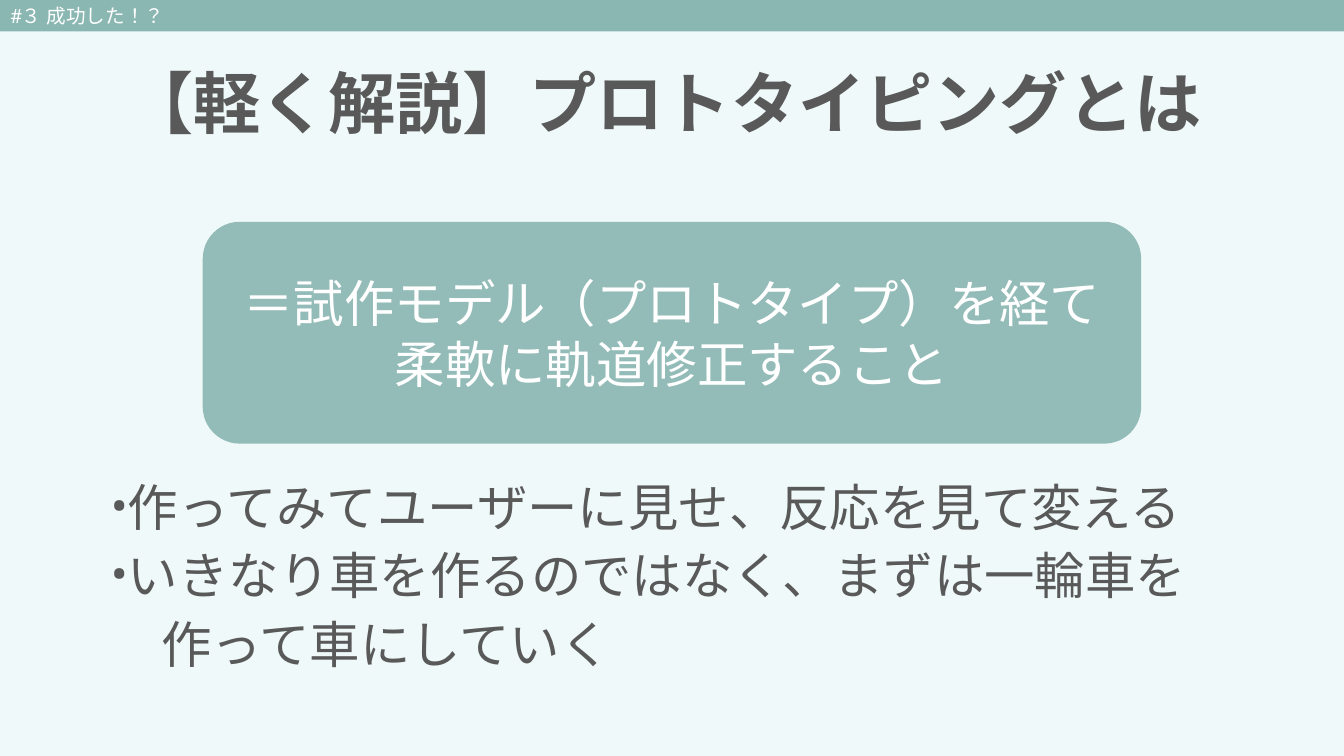
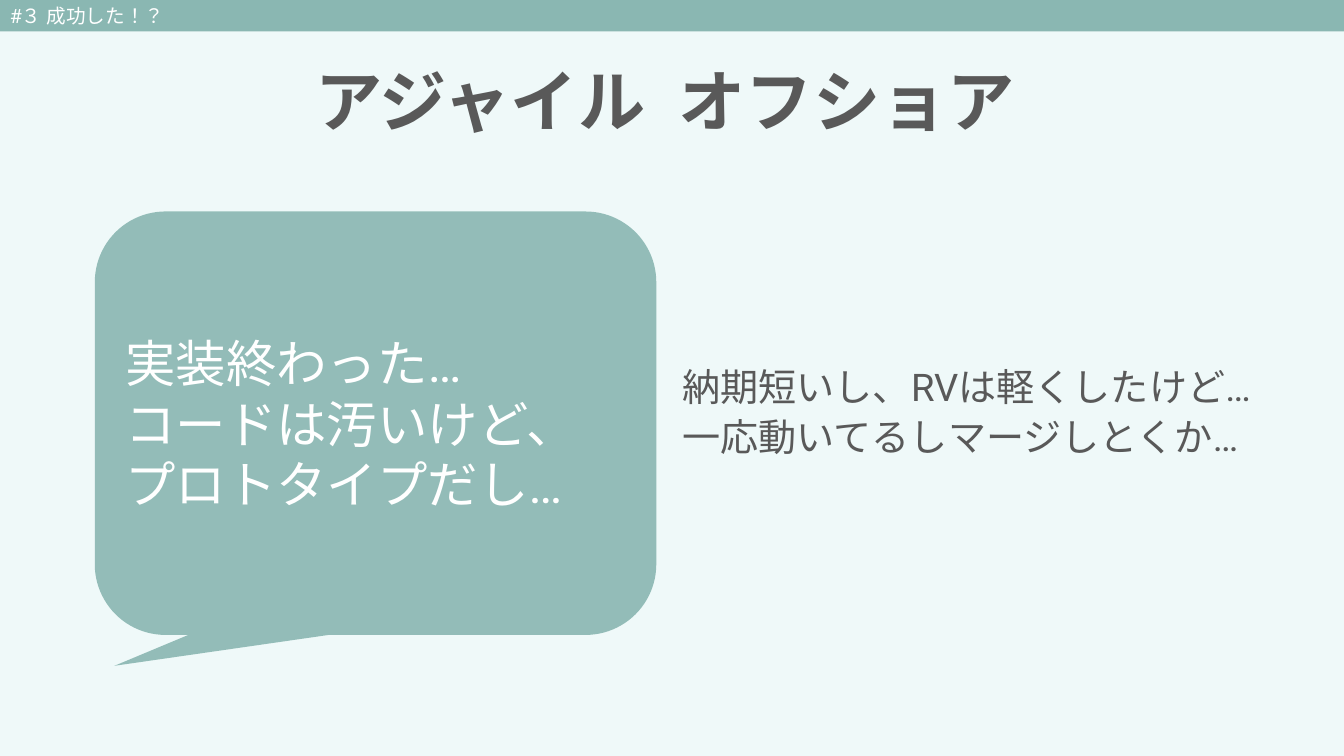
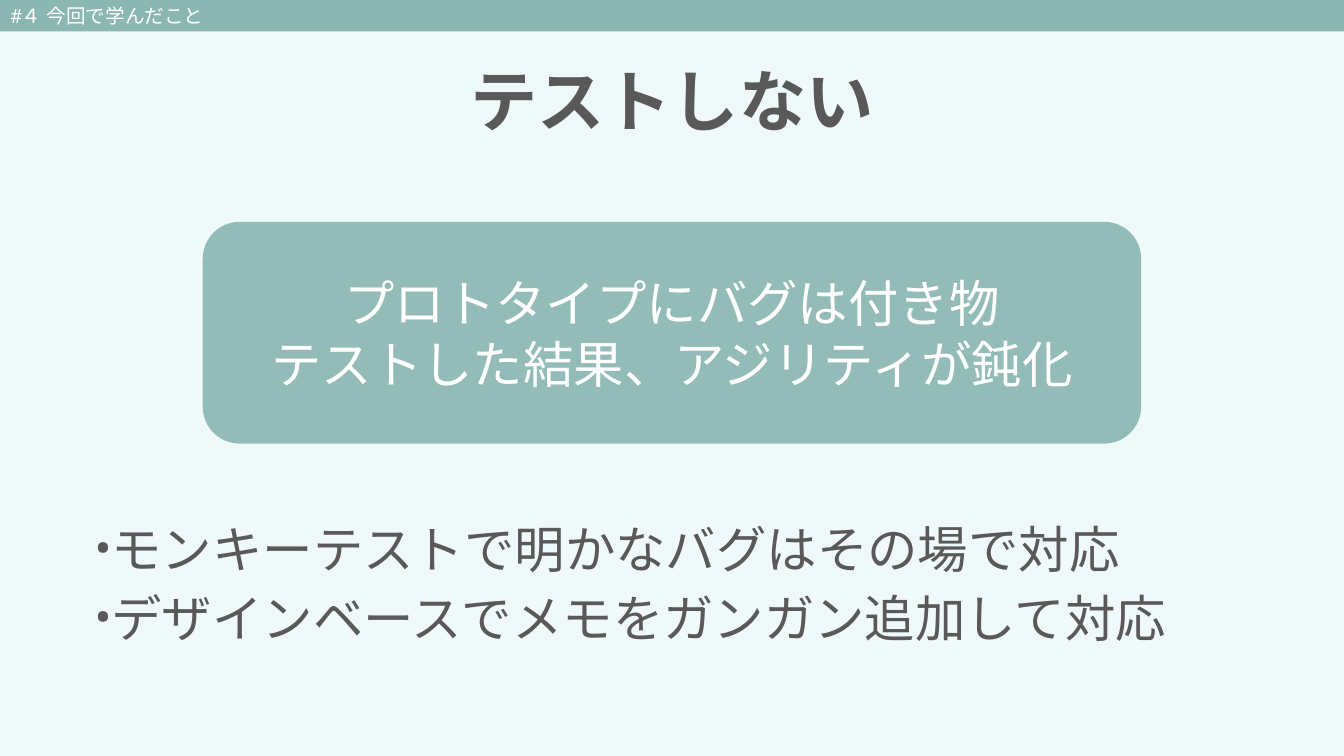
from dataclasses import dataclass
from typing import Optional

import pptx
import pptx.dml.color
import pptx.enum.shapes
import pptx.enum.text
import pptx.oxml
import pptx.oxml.ns
import pptx.util

Cm = pptx.util.Cm
Pt = pptx.util.Pt
RGB = pptx.dml.color.RGBColor
Shapes = pptx.enum.shapes.MSO_SHAPE
Anchor = pptx.enum.text.MSO_ANCHOR
Align = pptx.enum.text.PP_ALIGN
qn = pptx.oxml.ns.qn


@dataclass(frozen=True)
class Theme:
    background: RGB = RGB(0xEF, 0xF9, 0xF9)
    accent: RGB = RGB(0x8A, 0xB7, 0xB2)
    ink: RGB = RGB(0x59, 0x59, 0x59)
    white: RGB = RGB(0xFF, 0xFF, 0xFF)
    font: str = "Roboto"
    title_size: float = 48
    text_size: float = 36
    small_size: float = 27.2
    band_size: float = 14
    panel_opacity: int = 91


@dataclass(frozen=True)
class Box:
    left: float
    top: float
    width: float
    height: float


@dataclass(frozen=True)
class Line:
    text: str
    bullet: bool = False
    indent: float = 0


@dataclass(frozen=True)
class Panel:
    text: str
    box: Box
    shape: Shapes = Shapes.ROUNDED_RECTANGLE
    align: Align = Align.CENTER
    adjustments: tuple[float, ...] = ()


@dataclass(frozen=True)
class Body:
    lines: tuple[Line, ...]
    box: Box
    size: float
    spacing: float = 0.9


@dataclass(frozen=True)
class Page:
    section: str
    title: str
    title_box: Box
    panel: Panel
    body: Body


THEME = Theme()
SLIDE_WIDTH, SLIDE_HEIGHT = 33.87, 19.05
BAND = Box(0, 0, SLIDE_WIDTH, 0.79)
PANEL = Box(5.11, 5.59, 23.65, 5.59)
BULLET_INDENT = 0.42

PAGES = (
    Page(
        "#３ 成功した！？",
        "【軽く解説】プロトタイピングとは",
        Box(2.13, 0.84, 29.21, 3.68),
        Panel("＝試作モデル（プロトタイプ）を経て柔軟に軌道修正すること", PANEL),
        Body(
            (
                Line("作ってみてユーザーに見せ、反応を見て変える", bullet=True),
                Line("いきなり車を作るのではなく、まずは一輪車を", bullet=True),
                Line("作って車にしていく", indent=1.27),
            ),
            Box(2.54, 12.04, 29.21, 5.89),
            THEME.text_size,
        ),
    ),
    Page(
        "#３ 成功した！？",
        "アジャイル ✖️ オフショア",
        Box(6.17, 0.79, 21.18, 3.68),
        Panel(
            "実装終わった…\nコードは汚いけど、\nプロトタイプだし…",
            Box(2.39, 5.33, 14.15, 10.67),
            Shapes.ROUNDED_RECTANGULAR_CALLOUT,
            Align.LEFT,
            (-0.465, 0.573, 0.167),
        ),
        Body(
            (
                Line("納期短いし、RVは軽くしたけど…"),
                Line("一応動いてるしマージしとくか…"),
            ),
            Box(16.94, 9.25, 16.64, 2.9),
            THEME.small_size,
            0.8,
        ),
    ),
    Page(
        "#４ 今回で学んだこと",
        "テストしない",
        Box(1.68, 0.79, 30.51, 3.68),
        Panel("プロトタイプにバグは付き物\nテストした結果、アジリティが鈍化", PANEL),
        Body(
            (
                Line("モンキーテストで明かなバグはその場で対応", bullet=True),
                Line("デザインベースでメモをガンガン追加して対応", bullet=True),
            ),
            Box(2.13, 13.11, 30.05, 3.68),
            THEME.text_size,
        ),
    ),
)


def place(sp, box: Box) -> None:
    sp.left, sp.top = Cm(box.left), Cm(box.top)
    sp.width, sp.height = Cm(box.width), Cm(box.height)


def format_text(tf, size: float, color: RGB, align: Align, anchor: Anchor,
                spacing: float = 1.0, bold: bool = False) -> None:
    tf.word_wrap = True
    tf.auto_size = pptx.enum.text.MSO_AUTO_SIZE.NONE
    tf.vertical_anchor = anchor
    for p in tf.paragraphs:
        p.alignment = align
        p.line_spacing = spacing
        for r in p.runs:
            r.font.name = THEME.font
            r.font.size = Pt(size)
            r.font.bold = bold
            r.font.color.rgb = color
            r.font.language_id = pptx.enum.lang.MSO_LANGUAGE_ID.JAPANESE
            ea = pptx.oxml.parse_xml(
                f'<a:ea {pptx.oxml.ns.nsdecls("a")} typeface="{THEME.font}"/>')
            r._r.rPr.find(qn("a:latin")).addnext(ea)


def set_bullet(p, line: Line) -> None:
    pPr = p._p.get_or_add_pPr()
    hanging = BULLET_INDENT if line.bullet else 0
    pPr.set("marL", str(Cm(line.indent + hanging)))
    pPr.set("indent", str(-Cm(hanging)))
    tag = 'buChar char="•"' if line.bullet else "buNone"
    if line.bullet:
        pPr.append(pptx.oxml.parse_xml(
            f'<a:buFont {pptx.oxml.ns.nsdecls("a")} typeface="{THEME.font}"/>'))
    name, _, attributes = tag.partition(" ")
    pPr.append(pptx.oxml.parse_xml(
        f'<a:{name} {pptx.oxml.ns.nsdecls("a")} {attributes}/>'))


def add_filled_shape(slide, kind: Shapes, box: Box, text: str, size: float,
                     align: Align, opacity: int = 100):
    sp = slide.shapes.add_shape(kind, Cm(box.left), Cm(box.top),
                                Cm(box.width), Cm(box.height))
    sp.shadow.inherit = False
    sp.fill.solid()
    sp.fill.fore_color.rgb = THEME.accent
    sp.line.fill.background()
    if opacity < 100:
        color = sp._element.spPr.find(f'{qn("a:solidFill")}/{qn("a:srgbClr")}')
        color.append(pptx.oxml.parse_xml(
            f'<a:alpha {pptx.oxml.ns.nsdecls("a")} val="{opacity * 1000}"/>'))
    sp.text_frame.text = text
    format_text(sp.text_frame, size, THEME.white, align, Anchor.MIDDLE)
    return sp


def add_title(slide, page: Page) -> None:
    sp = slide.shapes.title
    place(sp, page.title_box)
    sp.text_frame.text = page.title
    format_text(sp.text_frame, THEME.title_size, THEME.ink, Align.CENTER,
                Anchor.MIDDLE, 0.9, bold=True)


def add_panel(slide, panel: Panel) -> None:
    sp = add_filled_shape(slide, panel.shape, panel.box, panel.text,
                          THEME.text_size, panel.align, THEME.panel_opacity)
    for i, value in enumerate(panel.adjustments):
        sp.adjustments[i] = value


def add_body(slide, body: Body) -> None:
    sp = slide.placeholders[1]
    place(sp, body.box)
    tf = sp.text_frame
    tf.text = "\n".join(line.text for line in body.lines)
    for i, (p, line) in enumerate(zip(tf.paragraphs, body.lines)):
        set_bullet(p, line)
        p.space_before = Pt(10 if i else 0)
    format_text(tf, body.size, THEME.ink, Align.LEFT, Anchor.TOP, body.spacing)


def add_page(prs, page: Page) -> None:
    slide = prs.slides.add_slide(prs.slide_layouts[1])
    add_title(slide, page)
    add_panel(slide, page.panel)
    add_body(slide, page.body)
    add_filled_shape(slide, Shapes.RECTANGLE, BAND, page.section,
                     THEME.band_size, Align.LEFT)


def main() -> None:
    prs = pptx.Presentation()
    prs.slide_width, prs.slide_height = Cm(SLIDE_WIDTH), Cm(SLIDE_HEIGHT)
    fill = prs.slide_master.background.fill
    fill.solid()
    fill.fore_color.rgb = THEME.background
    for page in PAGES:
        add_page(prs, page)
    prs.save("out.pptx")


if __name__ == "__main__":
    import pptx.enum.lang
    main()
